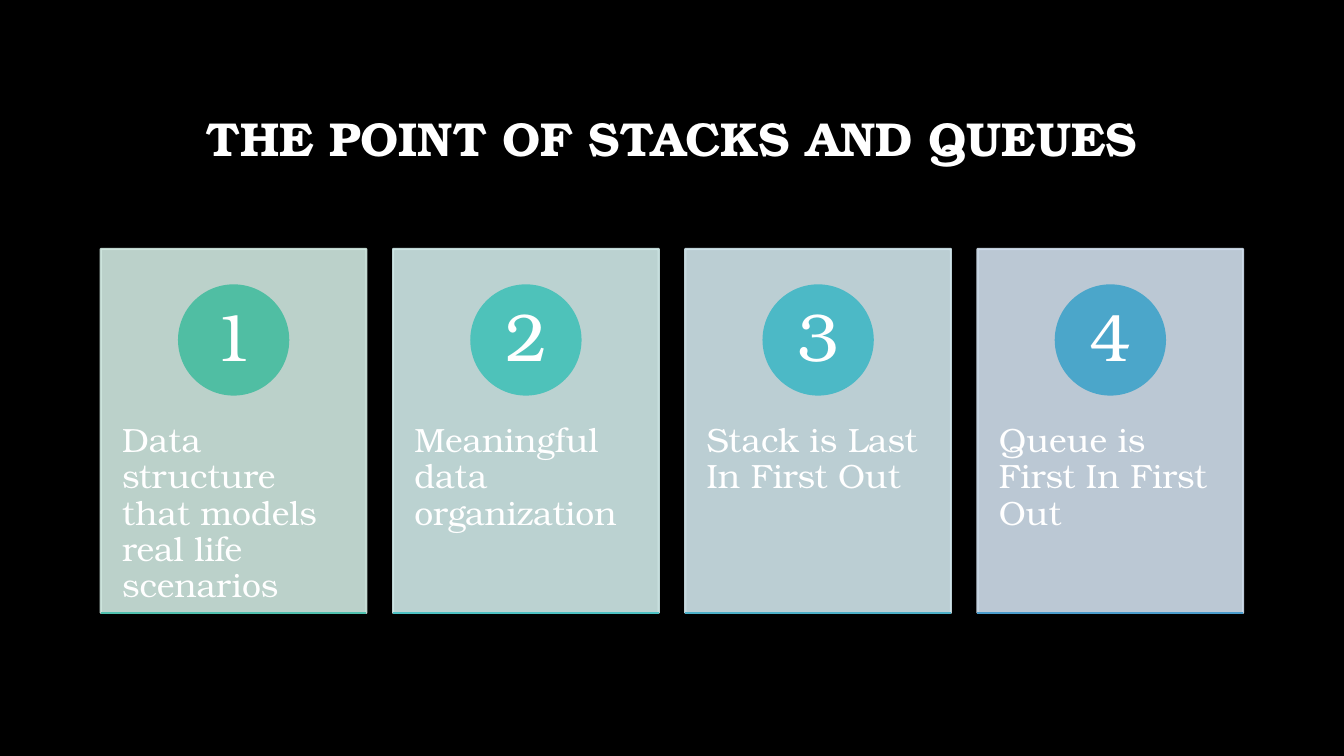
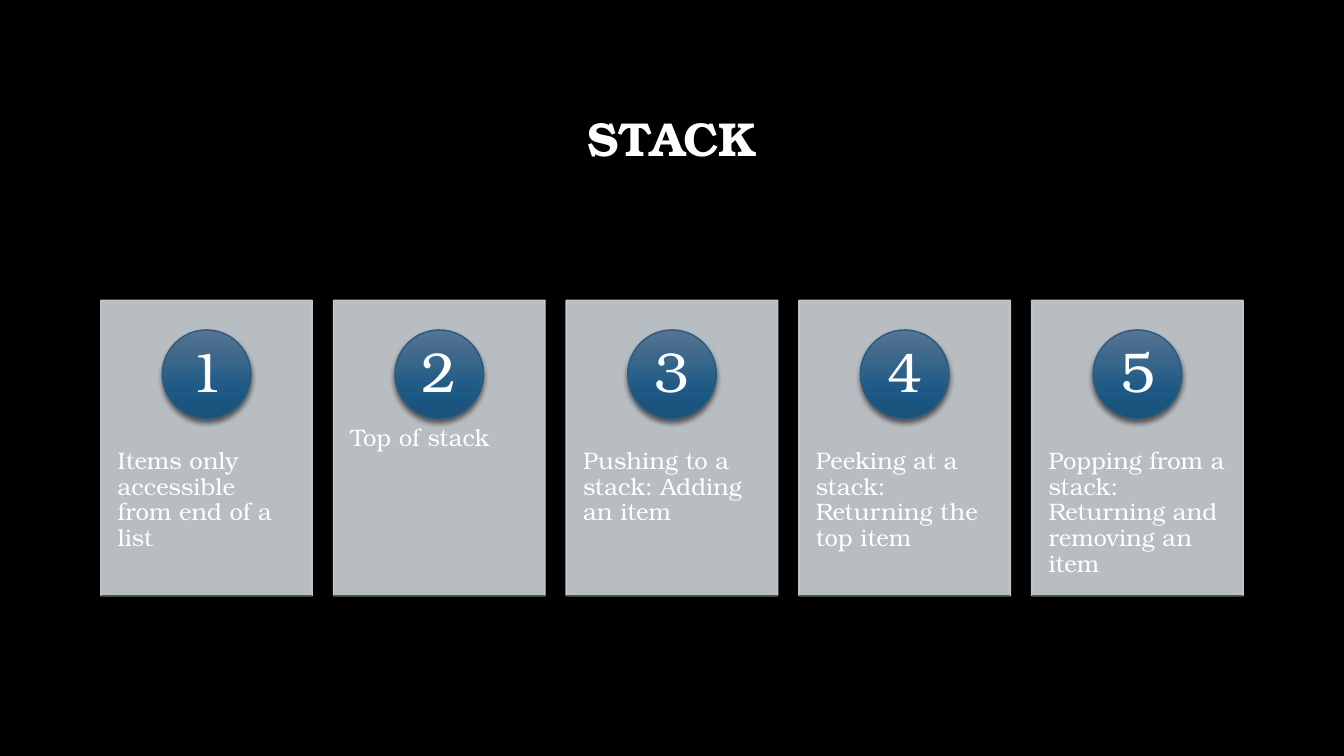
import copy

import lxml.etree
import pptx
import pptx.dml.color
import pptx.enum.shapes
import pptx.enum.text
import pptx.oxml.ns
import pptx.util

WIDTH, HEIGHT = 13.33, 7.5
MARGIN = WIDTH * 0.075
CONTENT = WIDTH - 2 * MARGIN
GAP_SHARE = 0.1
FONT = "TeX Gyre Bonum"
WHITE, BLACK = "FFFFFF", "000000"
SLATE_GRADIENT = [(0, "567491"), (0.69, "1C5985"), (1, "195179")]

Inches = pptx.util.Inches
Pt = pptx.util.Pt
qn = pptx.oxml.ns.qn
Align = pptx.enum.text.PP_ALIGN
Anchor = pptx.enum.text.MSO_ANCHOR
Preset = pptx.enum.shapes.MSO_SHAPE


def color(value):
    return pptx.dml.color.RGBColor.from_string(value)


def write(shape, text, size, align, anchor, inset=(0, 0), bold=False):
    frame = shape.text_frame
    frame.word_wrap = True
    frame.vertical_anchor = anchor
    frame.margin_left = frame.margin_right = Inches(inset[0])
    frame.margin_top = frame.margin_bottom = Inches(inset[1])
    paragraph = frame.paragraphs[0]
    paragraph.text = text
    paragraph.alignment = align
    paragraph.line_spacing = 0.9
    paragraph.font.name = FONT
    paragraph.font.size = Pt(size)
    paragraph.font.bold = bold
    paragraph.font.color.rgb = color(WHITE)


decks = [
    {
        "title": "THE POINT OF STACKS AND QUEUES",
        "top": 2.47, "height": 3.61, "line": 1.5, "text_size": 24, "number_size": 48,
        "gradient": None,
        "cards": [
            ("Data structure that models real life scenarios", "D0E8E0", "50BEA3", "4FC0AE"),
            ("Meaningful data organization", "D0E9E8", "4EC2BA", "4DC2C4"),
            ("Stack is Last In First Out", "D0E5EB", "4CB9C6", "4CB0C8"),
            ("Queue is First In First Out", "D0DEEC", "4BA6CA", "4A9CCC"),
        ],
    },
    {
        "title": "STACK",
        "top": 2.98, "height": 2.93, "line": 1, "text_size": 17, "number_size": 40,
        "gradient": SLATE_GRADIENT,
        "cards": [
            (text, "CDD2D8", "2A5B7F", "2A5B7F")
            for text in (
                "Items only accessible from end of a list",
                "Top of stack",
                "Pushing to a stack: Adding an item",
                "Peeking at a stack: Returning the top item",
                "Popping from a stack: Returning and removing an item",
            )
        ],
    },
]

presentation = pptx.Presentation()
presentation.slide_width = Inches(WIDTH)
presentation.slide_height = Inches(HEIGHT)

for deck in decks:
    slide = presentation.slides.add_slide(presentation.slide_layouts[6])
    slide.background.fill.solid()
    slide.background.fill.fore_color.rgb = color(BLACK)
    shapes = slide.shapes

    title = shapes.add_textbox(Inches(MARGIN), Inches(0.67), Inches(CONTENT), Inches(1.45))
    write(title, deck["title"], 34, Align.CENTER, Anchor.MIDDLE, (0.1, 0.05), True)

    count = len(deck["cards"])
    width = CONTENT / (count + GAP_SHARE * (count - 1))
    top, height = deck["top"], deck["height"]
    diameter = height * 0.3

    for index, (text, card_color, circle_color, base_color) in enumerate(deck["cards"]):
        left = MARGIN + index * width * (1 + GAP_SHARE)

        card = shapes.add_shape(
            Preset.RECTANGLE, Inches(left), Inches(top), Inches(width), Inches(height))
        card.shadow.inherit = False
        card.fill.solid()
        card.fill.fore_color.rgb = color(card_color)
        card.line.color.rgb = color(card_color)
        card.line.width = Pt(deck["line"])
        for tint in card._element.spPr.iter(qn("a:srgbClr")):
            lxml.etree.SubElement(tint, qn("a:alpha"), val="90000")

        body = shapes.add_textbox(
            Inches(left), Inches(top + height * 0.38), Inches(width), Inches(height * 0.6))
        write(body, text, deck["text_size"], Align.LEFT, Anchor.TOP, (width * 0.08, 0.36))

        circle = shapes.add_shape(
            Preset.OVAL, Inches(left + (width - diameter) / 2), Inches(top + height * 0.1),
            Inches(diameter), Inches(diameter))
        circle.shadow.inherit = False
        circle.line.color.rgb = color(circle_color)
        circle.line.width = Pt(deck["line"])
        if deck["gradient"]:
            circle.fill.gradient()
            circle.fill.gradient_angle = 270
            stop_list = circle._element.spPr.find(".//" + qn("a:gsLst"))
            stop_list.append(copy.deepcopy(stop_list[-1]))
            for stop, (position, value) in zip(circle.fill.gradient_stops, deck["gradient"]):
                stop.position = position
                stop.color.rgb = color(value)
            effects = circle._element.spPr.find(qn("a:effectLst"))
            shadow = lxml.etree.SubElement(
                effects, qn("a:outerShdw"), blurRad=str(Pt(4)), dist=str(Pt(3)),
                dir="5400000", rotWithShape="0")
            shade = lxml.etree.SubElement(shadow, qn("a:srgbClr"), val=BLACK)
            lxml.etree.SubElement(shade, qn("a:alpha"), val="54000")
        else:
            circle.fill.solid()
            circle.fill.fore_color.rgb = color(circle_color)
        write(circle, str(index + 1), deck["number_size"], Align.CENTER, Anchor.MIDDLE)

        base = shapes.add_connector(
            pptx.enum.shapes.MSO_CONNECTOR.STRAIGHT, Inches(left), Inches(top + height),
            Inches(left + width), Inches(top + height))
        base.line.color.rgb = color(base_color)
        base.line.width = Pt(deck["line"])
        lxml.etree.SubElement(base._element.spPr, qn("a:effectLst"))

presentation.save("out.pptx")
